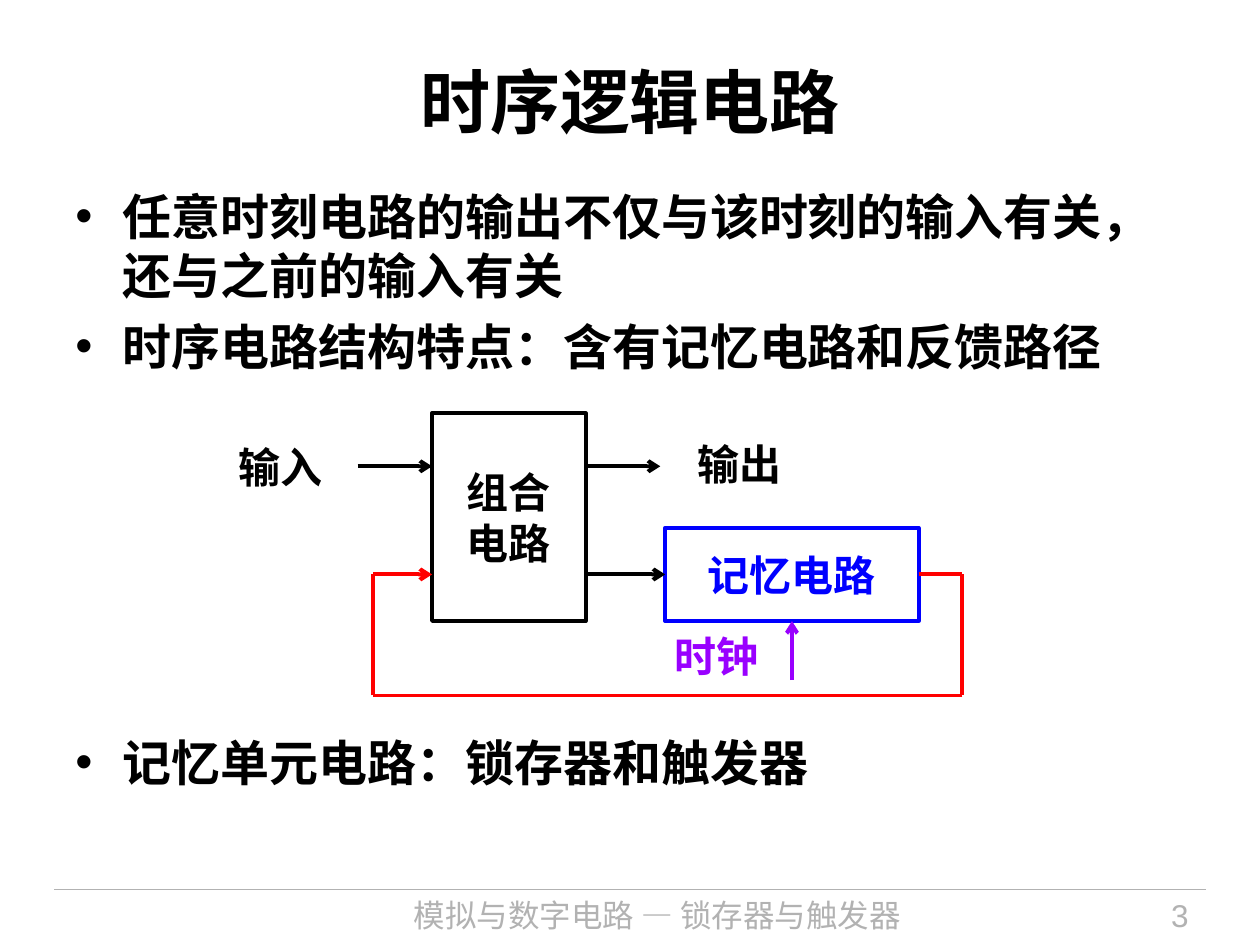
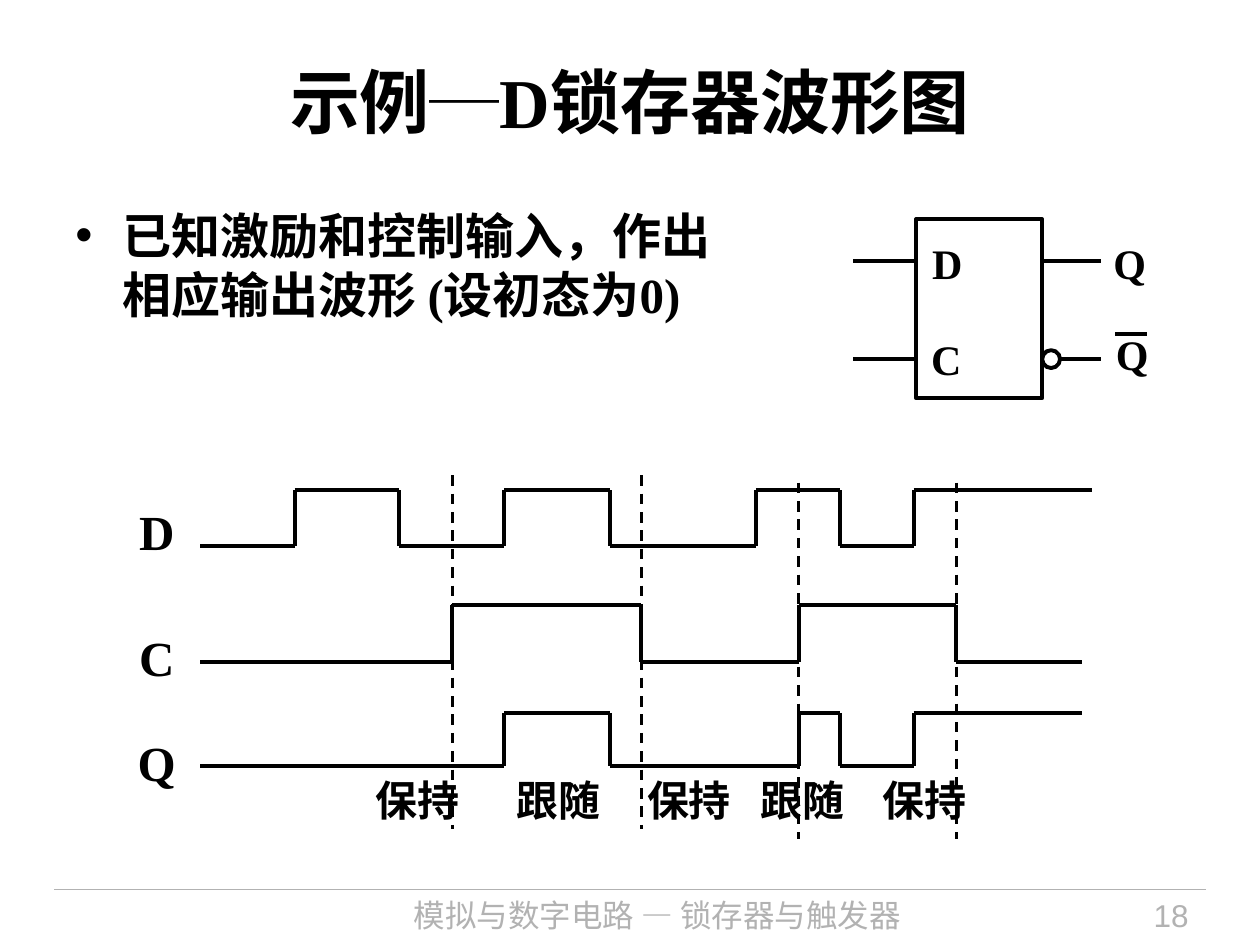
from itertools import pairwise

from lxml.etree import SubElement
from pptx import Presentation
from pptx.dml.color import RGBColor
from pptx.enum.dml import MSO_LINE
from pptx.enum.shapes import MSO_CONNECTOR, MSO_SHAPE
from pptx.enum.text import MSO_ANCHOR, PP_ALIGN
from pptx.oxml.ns import qn
from pptx.util import Cm, Pt

BLACK, GREY, WHITE = "000000", "B2B2B2", "FFFFFF"
BLUE, RED, PURPLE = "0000FF", "FF0000", "9900FF"
SERIF, SANS, CJK = "Times New Roman", "Arial", "Noto Sans CJK SC"
LEFT, CENTER, RIGHT = PP_ALIGN.LEFT, PP_ALIGN.CENTER, PP_ALIGN.RIGHT
FOOTER = "模拟与数字电路 — 锁存器与触发器"


def color(hex_text):
    """Turn a hex string into a colour."""
    return RGBColor.from_string(hex_text)


def write(sp, text, size=24, font=SERIF, fill=BLACK, bold=True, align=CENTER,
          anchor=MSO_ANCHOR.MIDDLE, inset=(0, 0), wrap=True, bullet=False):
    """Fill a shape with one formatted paragraph per line of text."""
    tf = sp.text_frame
    tf.word_wrap, tf.vertical_anchor = wrap, anchor
    tf.margin_left = tf.margin_right = Cm(inset[0])
    tf.margin_top = tf.margin_bottom = Cm(inset[1])
    for i, line in enumerate(text.split("\n")):
        p = tf.add_paragraph() if i else tf.paragraphs[0]
        p.alignment = align
        if bullet:
            p.space_after = Pt(7)
            pPr = p._p.get_or_add_pPr()
            pPr.set("marL", str(Cm(0.96)))
            pPr.set("indent", str(-Cm(0.96)))
            SubElement(pPr, qn("a:buFont"), typeface=SANS)
            SubElement(pPr, qn("a:buChar"), char="•")
        r = p.add_run()
        r.text = line
        r.font.size, r.font.bold, r.font.name = Pt(size), bold, font
        r.font.color.rgb = color(fill)
        SubElement(r._r.get_or_add_rPr(), qn("a:ea"), typeface=CJK)


def label(s, text, left, top, width, height, **fmt):
    """Add a text box."""
    write(s.shapes.add_textbox(Cm(left), Cm(top), Cm(width), Cm(height)), text, **fmt)


def outline(s, kind, left, top, width, height, line=BLACK, fill=None):
    """Add a preset shape with a plain outline."""
    sp = s.shapes.add_shape(kind, Cm(left), Cm(top), Cm(width), Cm(height))
    sp.shadow.inherit = False
    if fill:
        sp.fill.solid()
        sp.fill.fore_color.rgb = color(fill)
    else:
        sp.fill.background()
    sp.line.color.rgb, sp.line.width = color(line), Pt(2.25)
    return sp


def wire(s, start, end, line=BLACK, width=2.25, arrow=False, dash=False):
    """Draw a straight line, with an optional arrowhead at its end."""
    cx = s.shapes.add_connector(MSO_CONNECTOR.STRAIGHT, *map(Cm, (*start, *end)))
    cx.line.color.rgb, cx.line.width = color(line), Pt(width)
    if dash:
        cx.line.dash_style = MSO_LINE.DASH
    if arrow:
        SubElement(cx.line._get_or_add_ln(), qn("a:tailEnd"), type="arrow")
    SubElement(cx._element.spPr, qn("a:effectLst"))
    return cx


def path(s, points, arrow=False, **fmt):
    """Chain wires through the points and return them."""
    legs = list(pairwise(points))
    return [wire(s, a, b, arrow=arrow and i == len(legs) - 1, **fmt)
            for i, (a, b) in enumerate(legs)]


def base_slide(prs, title, number):
    """Add a blank slide with its title and footer."""
    s = prs.slides.add_slide(prs.slide_layouts[6])
    wire(s, (1.09, 17.93), (24.31, 17.93), line=GREY, width=0.75)
    foot = dict(size=18, fill=GREY, bold=False, inset=(0.25, 0.13), anchor=MSO_ANCHOR.TOP)
    label(s, FOOTER, 6.1, 17.93, 14.3, 1.12, font=CJK, **foot)
    label(s, str(number), 20.83, 17.93, 3.38, 1.12, font=SANS, align=RIGHT, **foot)
    label(s, title, 1.27, 0.43, 22.86, 3.18, size=40)
    return s


def bullets(s, text, left, top, width, height):
    """Add a bulleted list."""
    label(s, text, left, top, width, height, size=28, align=LEFT,
          anchor=MSO_ANCHOR.TOP, inset=(0.25, 0.13), bullet=True)


def feedback_diagram(s, x, y):
    """Draw the circuit blocks and feedback path from the logic block's corner."""
    logic_w, logic_h, lead = 3.1, 4.19, 1.5
    mem_x, mem_y, mem_w, mem_h = 4.7, 2.31, 5.11, 1.88
    mid, io_y = y + mem_y + mem_h / 2, y + 1.07
    logic = outline(s, MSO_SHAPE.RECTANGLE, x, y, logic_w, logic_h)
    write(logic, "组合\n电路", font=SANS)
    memory = outline(s, MSO_SHAPE.RECTANGLE, x + mem_x, y + mem_y, mem_w, mem_h, line=BLUE)
    write(memory, "记忆电路", font=SANS, fill=BLUE)

    wire(s, (x - lead, io_y), (x, io_y), arrow=True)
    wire(s, (x + logic_w, io_y), (x + logic_w + lead, io_y), arrow=True)
    wire(s, (x + logic_w, mid), (x + mem_x, mid), arrow=True).end_connect(memory, 1)
    right, left, bottom = x + 10.69, x - 1.19, y + 5.69
    feedback = path(s, [(x + mem_x + mem_w, mid), (right, mid), (right, bottom),
                        (left, bottom), (left, mid), (x, mid)], line=RED, arrow=True)
    feedback[0].begin_connect(memory, 3)
    clock_x = x + mem_x + mem_w / 2
    clock = wire(s, (clock_x, y + 5.38), (clock_x, y + mem_y + mem_h), line=PURPLE, arrow=True)
    clock.end_connect(memory, 2)

    label(s, "输入", x - 4.7, y + 0.56, 3.28, 1.02)
    label(s, "输出", x + 4.6, y + 0.51, 3.2, 1.02)
    label(s, "时钟", x + 4.39, y + 4.37, 2.69, 1.02, fill=PURPLE)


def latch_symbol(s, x, y):
    """Draw the D latch symbol from its body's corner."""
    width, lead, upper, lower, bubble = 2.54, 1.27, 0.84, 2.82, 0.36
    outline(s, MSO_SHAPE.RECTANGLE, x, y, width, 3.61)
    for row, start in ((upper, width), (lower, width + bubble)):
        wire(s, (x - lead, y + row), (x, y + row))
        wire(s, (x + start, y + row), (x + width + 1.19, y + row))
    outline(s, MSO_SHAPE.OVAL, x + width, y + lower - bubble / 2, bubble, bubble, fill=WHITE)
    for text, dx, dy in (("D", 0.05, 0.25), ("C", 0.03, 2.18),
                         ("Q", 3.73, 0.25), ("Q", 3.78, 2.08)):
        label(s, text, x + dx, y + dy, 1.15, 1.27)
    wire(s, (x + 4.01, y + 2.31), (x + 4.65, y + 2.31))


def waveform(s, x, low, height, edges, end):
    """Draw a signal that starts low and toggles at each edge."""
    points, level = [(x, low)], low
    for edge in edges:
        points.append((x + edge, level))
        level = 2 * low - height - level
        points.append((x + edge, level))
    path(s, points + [(x + end, level)])


def timing_diagram(s, x, y):
    """Draw the three signals, the clock edges and the latch states."""
    c_edges = (5.08, 8.89, 12.06, 15.24)
    signals = (
        ("D", 1.42, 1.12, (1.9, 4.01, 6.12, 8.25, 11.2, 12.9, 14.38), 17.98, 0.4),
        ("C", 3.76, 1.14, c_edges, 17.78, 2.94),
        ("Q", 5.86, 1.07, (6.12, 8.25, 12.06, 12.9, 14.38), 17.78, 5.05),
    )
    for name, low, height, edges, end, top in signals:
        waveform(s, x, y + low, height, edges, end)
        label(s, name, x - 1.53, y + top, 1.3, 1.45, size=28)
    for i, edge in enumerate(c_edges):
        top, bottom = (0, 7.14) if i < 2 else (0.15, 7.34)
        wire(s, (x + edge, y + top), (x + edge, y + bottom), width=1.5, dash=True)
    states = ("保持", "跟随", "保持", "跟随", "保持")
    for state, center in zip(states, (4.37, 7.21, 9.85, 12.13, 14.59)):
        label(s, state, x + center - 1.1, y + 5.91, 2.2, 1.27, font=CJK, wrap=False)


def main():
    """Build and save both slides."""
    prs = Presentation()
    prs.slide_width, prs.slide_height = Cm(25.4), Cm(19.05)

    s = base_slide(prs, "时序逻辑电路", 3)
    bullets(s, "任意时刻电路的输出不仅与该时刻的输入有关，还与之前的输入有关\n"
               "时序电路结构特点：含有记忆电路和反馈路径", 1.27, 3.63, 22.83, 4.2)
    feedback_diagram(s, 8.71, 8.33)
    bullets(s, "记忆单元电路：锁存器和触发器", 1.27, 14.64, 22.83, 1.5)

    s = base_slide(prs, "示例─D锁存器波形图", 18)
    bullets(s, "已知激励和控制输入，作出相应输出波形 (设初态为0)", 1.27, 4.01, 14.02, 3.28)
    latch_symbol(s, 18.47, 4.42)
    timing_diagram(s, 4.04, 9.58)

    prs.save("out.pptx")


if __name__ == "__main__":
    main()
